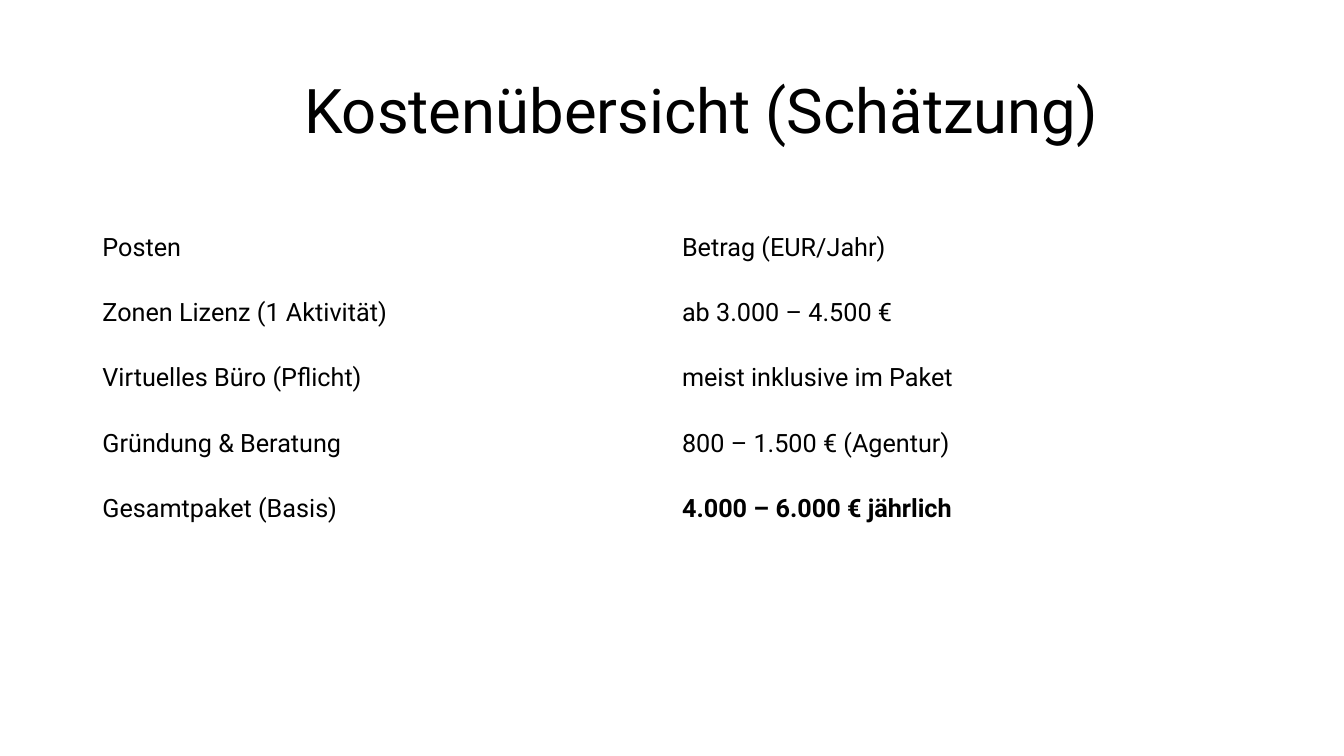
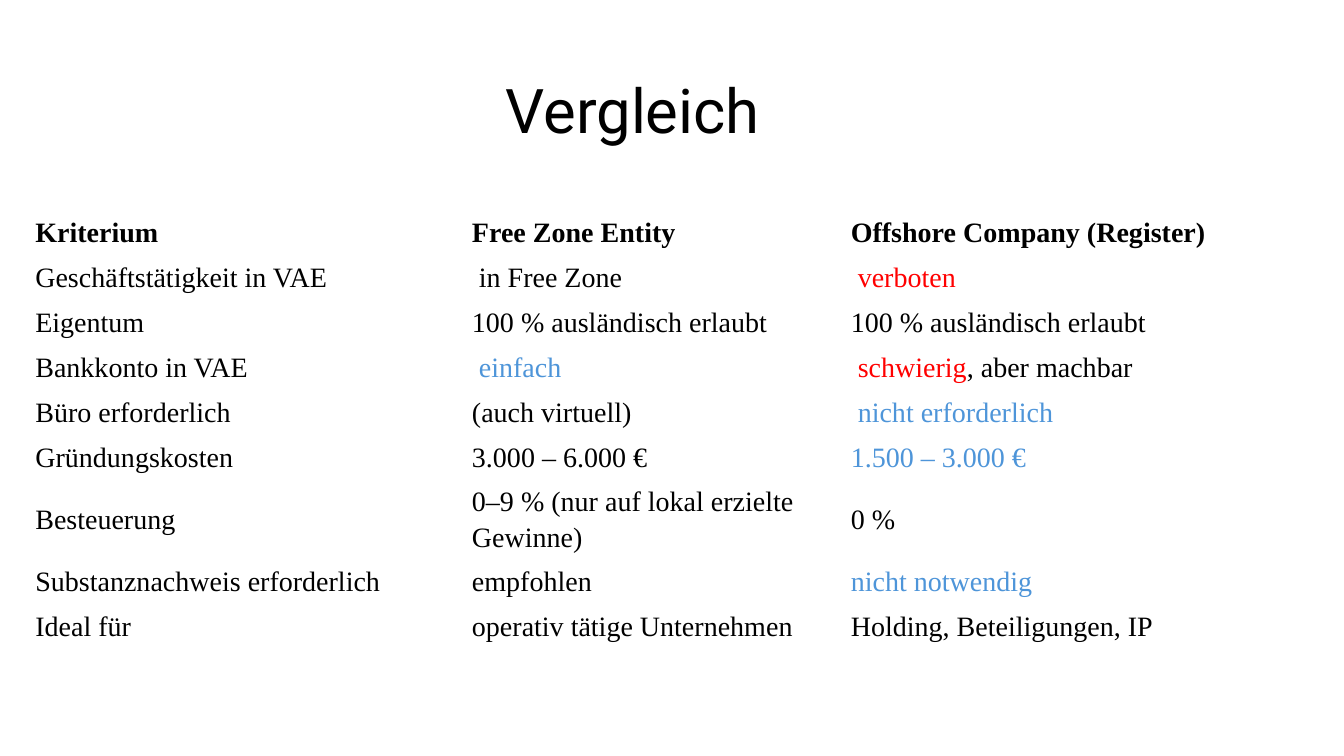
"""Build two slides: a cost overview and a comparison of company forms."""
from dataclasses import dataclass

from pptx import Presentation
from pptx.dml.color import RGBColor
from pptx.enum.text import MSO_ANCHOR
from pptx.util import Pt

MIDDLE = MSO_ANCHOR.MIDDLE


@dataclass(frozen=True)
class Theme:
    text: str = "000000"
    good: str = "4E95D9"
    bad: str = "FF0000"
    title_font: str = "Roboto"
    title_size: float = 44


@dataclass(frozen=True)
class TableStyle:
    font: str
    size: float
    inset_x: float
    inset_y: float
    line_spacing: float
    space_after: float


@dataclass(frozen=True)
class Entry:
    runs: tuple
    bold: bool = False
    indent: float = 0


THEME = Theme()
SPACE = 5


def plain(text):
    return Entry(((text, THEME.text),))


def bold(text):
    return Entry(((text, THEME.text),), bold=True)


def good(text, indent=0):
    return Entry(((text, THEME.good),), indent=indent)


COSTS = [
    ("Posten", "Betrag (EUR/Jahr)"),
    ("Zonen Lizenz (1 Aktivität)", "ab 3.000 – 4.500 €"),
    ("Virtuelles Büro (Pflicht)", "meist inklusive im Paket"),
    ("Gründung & Beratung", "800 – 1.500 € (Agentur)"),
    ("Gesamtpaket (Basis)", bold("4.000 – 6.000 € jährlich")),
]
COMPARISON = [
    (bold("Kriterium"), bold("Free Zone Entity"), bold("Offshore Company (Register)")),
    ("Geschäftstätigkeit in VAE",
     Entry((("in Free Zone", THEME.text),), indent=SPACE),
     Entry((("verboten", THEME.bad),), indent=SPACE)),
    ("Eigentum", "100 % ausländisch erlaubt", "100 % ausländisch erlaubt"),
    ("Bankkonto in VAE", good("einfach", SPACE),
     Entry((("schwierig", THEME.bad), (", aber machbar", THEME.text)), indent=SPACE)),
    ("Büro erforderlich", "(auch virtuell)", good("nicht erforderlich", SPACE)),
    ("Gründungskosten", "3.000 – 6.000 €", good("1.500 – 3.000 €")),
    ("Besteuerung", "0–9 % (nur auf lokal erzielte Gewinne)", "0 %"),
    ("Substanznachweis erforderlich", "empfohlen", good("nicht notwendig")),
    ("Ideal für", "operativ tätige Unternehmen", "Holding, Beteiligungen, IP"),
]

SLIDES = [
    dict(title="Kostenübersicht (Schätzung)", title_indent=144, rows=COSTS,
         left=66, top=153.4, columns=(414, 414), row_height=46.7,
         style=TableStyle("Roboto", 18, 7.2, 3.6, 1.0, 0)),
    dict(title="Vergleich", title_indent=288, rows=COMPARISON,
         left=24.5, top=149, columns=(311.9, 270.6, 281.5), row_height=32.1,
         style=TableStyle("Times New Roman", 20, 0.75, 0.75, 1.15, 8)),
]


def set_font(font, name, size):
    font.name = name
    font.size = Pt(size)


def add_title(slide, text, indent):
    box = slide.shapes.add_textbox(Pt(66), Pt(28.75), Pt(828), Pt(104.4))
    frame = box.text_frame
    frame.word_wrap = True
    frame.vertical_anchor = MIDDLE
    frame.margin_left = Pt(7.2 + indent)
    heading = frame.paragraphs[0]
    heading.text = text
    heading.line_spacing = 0.9
    set_font(heading.font, THEME.title_font, THEME.title_size)
    heading.font.color.rgb = RGBColor.from_string(THEME.text)


def fill_cell(cell, content, style):
    entry = plain(content) if isinstance(content, str) else content
    cell.fill.background()
    cell.vertical_anchor = MIDDLE
    cell.margin_left = Pt(style.inset_x + entry.indent)
    cell.margin_right = Pt(style.inset_x)
    cell.margin_top = cell.margin_bottom = Pt(style.inset_y)
    line = cell.text_frame.paragraphs[0]
    line.line_spacing = style.line_spacing
    line.space_after = Pt(style.space_after)
    set_font(line.font, style.font, style.size)
    line.font.bold = entry.bold
    for text, color in entry.runs:
        run = line.add_run()
        run.text = text
        target = line.font if len(entry.runs) == 1 else run.font
        target.color.rgb = RGBColor.from_string(color)


def add_grid(slide, rows, left, top, columns, row_height, style):
    frame = slide.shapes.add_table(len(rows), len(columns), Pt(left), Pt(top),
                                   Pt(sum(columns)), Pt(row_height * len(rows)))
    table = frame.table
    table.first_row = table.horz_banding = False
    for column, width in zip(table.columns, columns):
        column.width = Pt(width)
    for row, contents in zip(table.rows, rows):
        row.height = Pt(row_height)
        for cell, content in zip(row.cells, contents):
            fill_cell(cell, content, style)


def main():
    deck = Presentation()
    deck.slide_width, deck.slide_height = Pt(960), Pt(540)
    blank = deck.slide_layouts[6]
    for page in SLIDES:
        slide = deck.slides.add_slide(blank)
        add_title(slide, page["title"], page["title_indent"])
        add_grid(slide, page["rows"], page["left"], page["top"],
                 page["columns"], page["row_height"], page["style"])
    deck.save("out.pptx")


if __name__ == "__main__":
    main()
